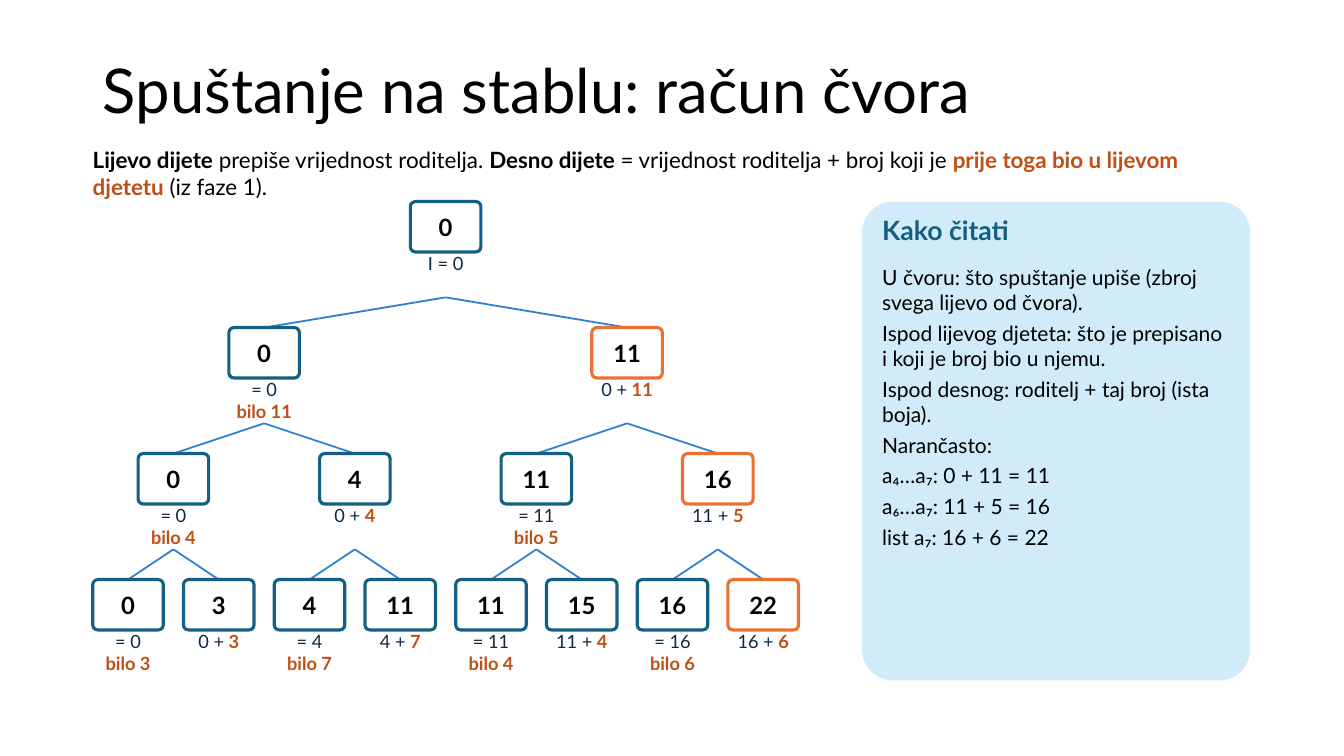
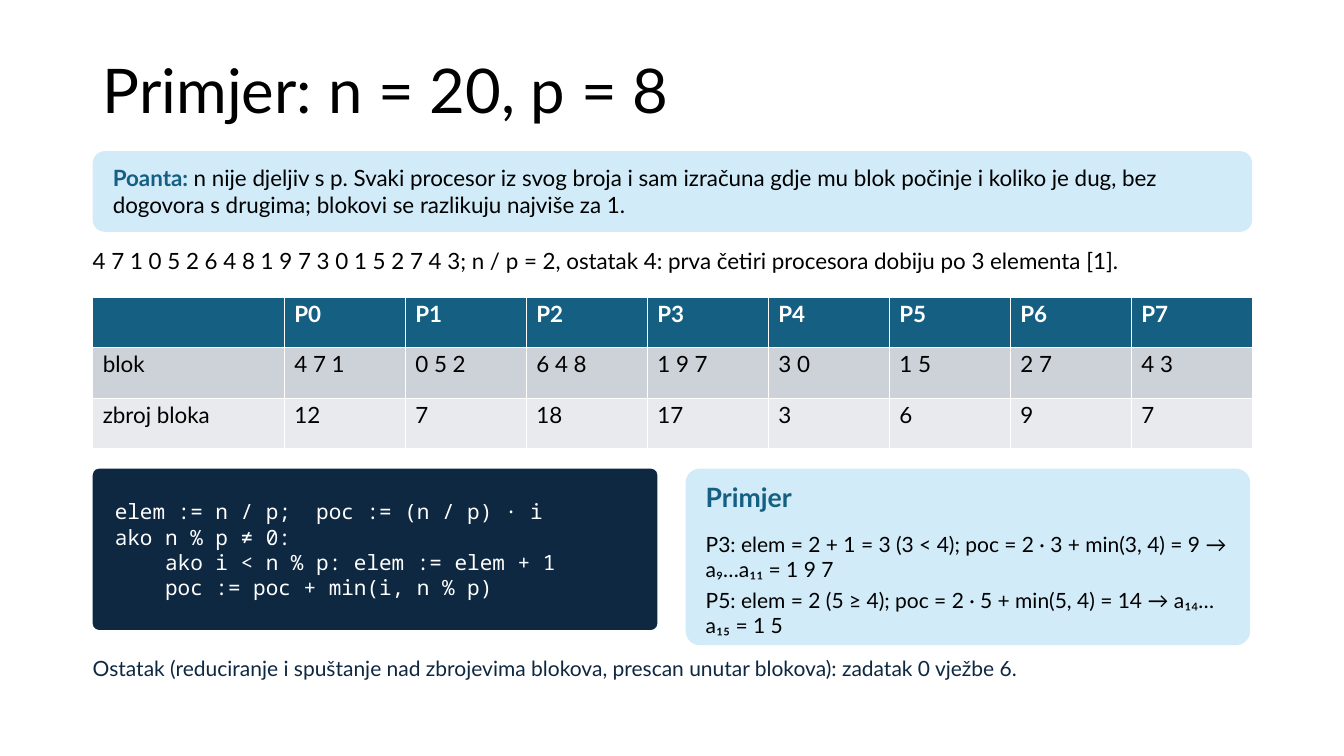
from lxml import etree
from pptx import Presentation
from pptx.dml.color import RGBColor
from pptx.enum.shapes import MSO_CONNECTOR, MSO_SHAPE
from pptx.enum.text import MSO_ANCHOR, MSO_AUTO_SIZE, PP_ALIGN
from pptx.oxml.ns import qn
from pptx.util import Pt

PX = 9144  # EMU per px, 100 px to the inch
ROUNDED = MSO_SHAPE.ROUNDED_RECTANGLE
STRAIGHT = MSO_CONNECTOR.STRAIGHT
TOP, MIDDLE = MSO_ANCHOR.TOP, MSO_ANCHOR.MIDDLE
LEFT, CENTER = PP_ALIGN.LEFT, PP_ALIGN.CENTER
NO_AUTOFIT = MSO_AUTO_SIZE.NONE
TITLE_ONLY = 5

BLACK, WHITE = "000000", "FFFFFF"
TEAL, NAVY, BLUE = "156082", "0E2841", "2D7FCF"
ORANGE, RUST, PALE = "E97132", "C04F15", "D1EBF8"
BAND_DARK, BAND_LIGHT = "CCD2D8", "E8EAED"
SANS, MONO = "Lato", "Noto Sans Mono"
MARGIN, CONTENT_WIDTH = 92, 1150

TREE_INPUT = [3, 1, 7, 0, 4, 1, 6, 3]
BLOCKS = ["4 7 1", "0 5 2", "6 4 8", "1 9 7", "3 0", "1 5", "2 7", "4 3"]


def rgb(hex_color):
    return RGBColor.from_string(hex_color)


def emu(*lengths):
    return [round(length * PX) for length in lengths]


class Deck:
    def __init__(self):
        self.presentation = Presentation()
        self.presentation.slide_width, self.presentation.slide_height = emu(1333, 750)
        self.slide = None

    def new_slide(self, title):
        layout = self.presentation.slide_layouts[TITLE_ONLY]
        self.slide = self.presentation.slides.add_slide(layout)
        heading = self.slide.shapes.title
        heading.left, heading.top, heading.width, heading.height = emu(
            MARGIN, 40, CONTENT_WIDTH, 106)
        self.set_lines(heading.text_frame, [title], 44, anchor=MIDDLE,
                       inset=(10, 5, 10, 5))
        heading.text_frame.paragraphs[0].line_spacing = 0.9

    def style(self, font, size, color, bold, name):
        font.size, font.bold, font.name = Pt(size), bold, name
        font.color.rgb = rgb(color)

    def set_lines(self, frame, lines, size, color=BLACK, bold=False, name=SANS,
                  align=LEFT, anchor=TOP, inset=(0, 0, 0, 0), space_after=0):
        """Fill a frame; a line is a string or a list of strings and
        (text, color) pairs, the pairs being bold."""
        frame.auto_size, frame.word_wrap = NO_AUTOFIT, True
        frame.vertical_anchor = anchor
        (frame.margin_left, frame.margin_top,
         frame.margin_right, frame.margin_bottom) = emu(*inset)
        for index, line in enumerate(lines):
            paragraph = frame.paragraphs[0] if index == 0 else frame.add_paragraph()
            paragraph.alignment, paragraph.space_after = align, Pt(space_after)
            self.style(paragraph.font, size, color, bold, name)
            spans = [line] if isinstance(line, str) else line
            for span in spans:
                run = paragraph.add_run()
                if isinstance(span, str):
                    run.text = span
                    continue
                run.text, accent = span
                target = paragraph if len(spans) == 1 else run
                self.style(target.font, size, accent, True, name)

    def text(self, left, top, width, height, lines, size, **options):
        box = self.slide.shapes.add_textbox(*emu(left, top, width, height))
        self.set_lines(box.text_frame, lines, size, **options)

    def box(self, left, top, width, height, radius, fill, outline=None):
        shape = self.slide.shapes.add_shape(ROUNDED, *emu(left, top, width, height))
        shape.adjustments[0] = radius
        shape.shadow.inherit = False
        shape.fill.solid()
        shape.fill.fore_color.rgb = rgb(fill)
        if outline:
            shape.line.color.rgb = rgb(outline)
            shape.line.width = Pt(2.25)
        else:
            shape.line.fill.background()
        return shape.text_frame

    def line(self, x1, y1, x2, y2):
        edge = self.slide.shapes.add_connector(STRAIGHT, *emu(x1, y1, x2, y2))
        edge.line.color.rgb = rgb(BLUE)
        edge.line.width = Pt(1.25)
        etree.SubElement(edge._element.spPr, qn("a:effectLst"))

    def panel(self, left, top, width, height, heading, lines):
        self.box(left, top, width, height, 0.08, PALE)
        self.text(left + 20, top + 12, width - 40, 45, [heading], 19,
                  color=TEAL, bold=True)
        self.text(left + 20, top + 62, width - 40, height - 70, lines, 15,
                  space_after=4)

    def table(self, left, top, column_widths, row_height, rows):
        grid = self.slide.shapes.add_table(
            len(rows), len(column_widths),
            *emu(left, top, sum(column_widths), row_height * len(rows))).table
        for column, width in zip(grid.columns, emu(*column_widths)):
            column.width = width
        for r, row in enumerate(rows):
            header = r == 0
            fill = TEAL if header else (BAND_LIGHT, BAND_DARK)[r % 2]
            for c, value in enumerate(row):
                cell = grid.cell(r, c)
                cell.fill.solid()
                cell.fill.fore_color.rgb = rgb(fill)
                (cell.margin_left, cell.margin_top,
                 cell.margin_right, cell.margin_bottom) = emu(10, 3, 10, 3)
                paragraph = cell.text_frame.paragraphs[0]
                paragraph.text = value
                self.style(paragraph.font, 16, WHITE if header else BLACK, header, SANS)

    def tree(self, values, center, top, prefix, caption, outline=TEAL, right_outline=ORANGE):
        """Draw a down-sweep node and its subtree over the given values."""
        node = self.box(center - 35, top, 70, 50, 0.1, WHITE, outline)
        self.set_lines(node, [str(prefix)], 17, bold=True, align=CENTER,
                       anchor=MIDDLE, inset=(3, 5, 3, 5))
        self.text(center - 50, top + 50, 100, 50, caption, 13, color=NAVY, align=CENTER)
        if len(values) == 1:
            return
        half = len(values) // 2
        left_center, right_center = center - 45 * half, center + 45 * half
        child_top = top + 125
        left_sum = sum(values[:half])
        for child_center in (left_center, right_center):
            self.line(center, top + 95, child_center, child_top)
        self.tree(values[:half], left_center, child_top, prefix,
                  [f"= {prefix}", [(f"bilo {left_sum}", RUST)]], TEAL, TEAL)
        self.tree(values[half:], right_center, child_top, prefix + left_sum,
                  [[f"{prefix} + ", (str(left_sum), RUST)]], right_outline, right_outline)


def down_sweep_slide(deck):
    deck.new_slide("Spuštanje na stablu: račun čvora")
    deck.text(MARGIN, 145, CONTENT_WIDTH, 50, [[
        ("Lijevo dijete", BLACK), " prepiše vrijednost roditelja. ",
        ("Desno dijete", BLACK), " = vrijednost roditelja + broj koji je ",
        ("prije toga bio u lijevom djetetu", RUST), " (iz faze 1).",
    ]], 16)
    deck.tree(TREE_INPUT, 442, 200, 0, ["I = 0"])
    deck.panel(855, 200, 385, 475, "Kako čitati", [
        "U čvoru: što spuštanje upiše (zbroj svega lijevo od čvora).",
        "Ispod lijevog djeteta: što je prepisano i koji je broj bio u njemu.",
        "Ispod desnog: roditelj + taj broj (ista boja).",
        "Narančasto:",
        "a₄…a₇: 0 + 11 = 11",
        "a₆…a₇: 11 + 5 = 16",
        "list a₇: 16 + 6 = 22",
    ])


def block_example_slide(deck):
    deck.new_slide("Primjer: n = 20, p = 8")
    deck.box(MARGIN, 150, CONTENT_WIDTH, 80, 0.15, PALE)
    deck.text(MARGIN + 20, 155, CONTENT_WIDTH - 40, 70, [[
        ("Poanta: ", TEAL),
        "n nije djeljiv s p. Svaki procesor iz svog broja i sam izračuna gdje mu "
        "blok počinje i koliko je dug, bez dogovora s drugima; blokovi se razlikuju "
        "najviše za 1.",
    ]], 16, anchor=MIDDLE)
    deck.text(MARGIN, 245, CONTENT_WIDTH, 45, [
        " ".join(BLOCKS) + "; n / p = 2, ostatak 4: prva četiri procesora dobiju "
        "po 3 elementa [1]."], 16)
    deck.table(MARGIN, 295, [190] + [120] * len(BLOCKS), 50, [
        [""] + [f"P{i}" for i in range(len(BLOCKS))],
        ["blok"] + BLOCKS,
        ["zbroj bloka"] + [str(sum(map(int, block.split()))) for block in BLOCKS],
    ])
    code = deck.box(MARGIN, 465, 560, 160, 0.04, NAVY)
    deck.set_lines(code, [
        "elem := n / p;  poc := (n / p) · i",
        "ako n % p ≠ 0:",
        "    ako i < n % p: elem := elem + 1",
        "    poc := poc + min(i, n % p)",
    ], 15, color=WHITE, name=MONO, anchor=MIDDLE, inset=(20, 5, 10, 5))
    deck.panel(680, 465, 560, 175, "Primjer", [
        "P3: elem = 2 + 1 = 3 (3 < 4); poc = 2 · 3 + min(3, 4) = 9 → a₉…a₁₁ = 1 9 7",
        "P5: elem = 2 (5 ≥ 4); poc = 2 · 5 + min(5, 4) = 14 → a₁₄…a₁₅ = 1 5",
    ])
    deck.text(MARGIN, 650, CONTENT_WIDTH, 50, [
        "Ostatak (reduciranje i spuštanje nad zbrojevima blokova, prescan unutar "
        "blokova): zadatak 0 vježbe 6."], 15, color=NAVY)


def main():
    deck = Deck()
    down_sweep_slide(deck)
    block_example_slide(deck)
    deck.presentation.save("out.pptx")


if __name__ == "__main__":
    main()
